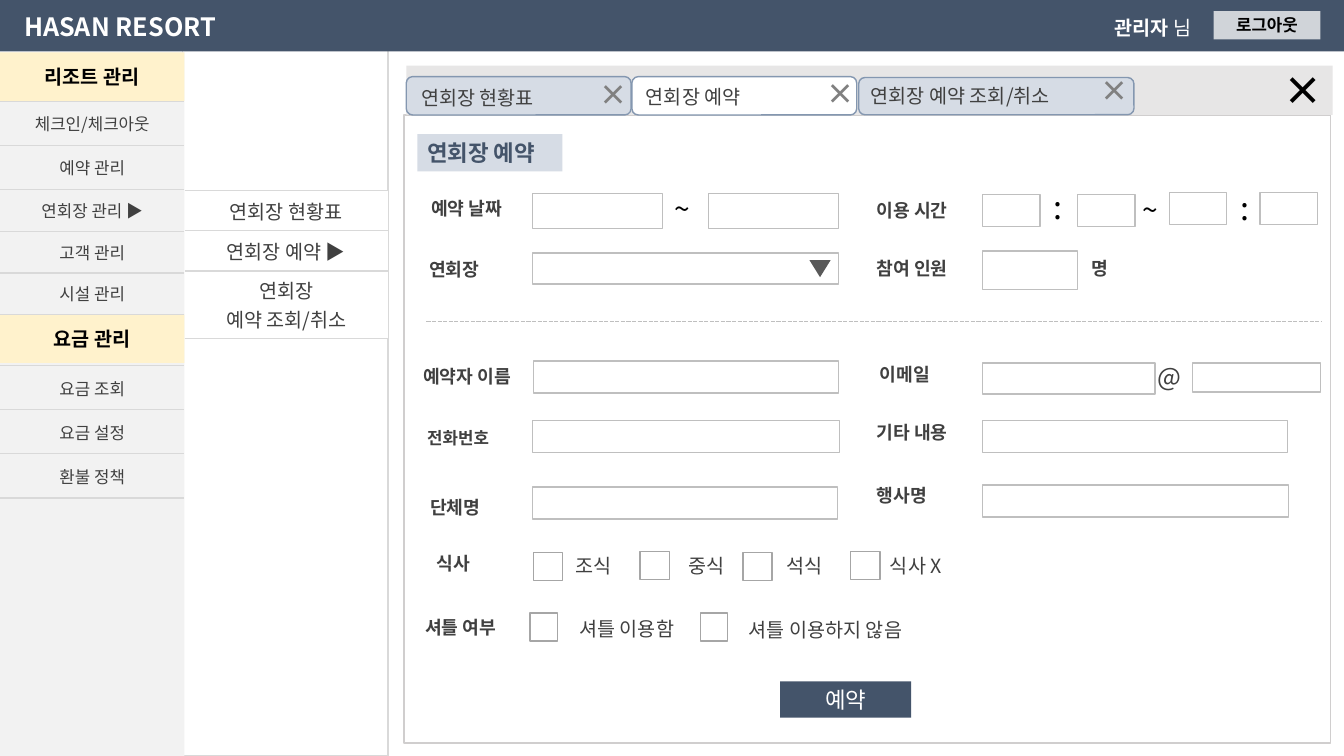
from dataclasses import dataclass

from lxml import etree
from pptx import Presentation
from pptx.dml.color import RGBColor
from pptx.enum import dml, shapes, text
from pptx.oxml import ns
from pptx.util import Pt

FONT = "Noto Sans CJK KR"
HUES = {
    "white": "FFFFFF", "black": "000000", "navy": "44546A", "pale": "D6DCE5",
    "blue": "8497B0", "cream": "FFF2CC", "side": "F2F2F2", "strip": "E7E6E6",
    "rule": "D9D9D9", "frame": "D0CECE", "field": "BFBFBF", "check": "A6A6A6",
    "ink": "404040", "mark": "595959", "close": "808080",
}
RECT = shapes.MSO_SHAPE.RECTANGLE
ROUND = shapes.MSO_SHAPE.ROUNDED_RECTANGLE
LEFT, MID = text.PP_ALIGN.LEFT, text.PP_ALIGN.CENTER


@dataclass
class Box:
    x: float
    y: float
    w: float
    h: float
    fill: str = "white"
    line: str = ""
    kind: int = RECT


@dataclass
class Note:
    words: str
    x: float
    y: float
    w: float
    h: float
    size: float = 13
    hue: str = "ink"
    bold: bool = True
    align: int = LEFT
    tail: str = ""


@dataclass
class Grid:
    x: float
    y: float
    w: float
    h: float
    rows: list
    words: list
    size: float
    fill: str


def rgb(name: str) -> RGBColor:
    return RGBColor.from_string(HUES[name])


def write(frame, words: str, *, size: float = 13, hue: str = "ink",
          bold: bool = False, align: int = LEFT, tail: str = "") -> None:
    for i, row in enumerate(words.split("\n")):
        para = frame.paragraphs[0] if i == 0 else frame.add_paragraph()
        para.alignment = align
        for part, heavy in ((row, bold), (tail, False)):
            if part:
                run = para.add_run()
                run.text = part
                font = run.font
                font.size, font.bold, font.name = Pt(size), heavy, FONT
                font.color.rgb = rgb(hue)
                etree.SubElement(run._r.get_or_add_rPr(), ns.qn("a:ea"), typeface=FONT)


def draw_box(slide, box: Box):
    shape = slide.shapes.add_shape(box.kind, Pt(box.x), Pt(box.y), Pt(box.w), Pt(box.h))
    shape.shadow.inherit = False
    shape.fill.solid()
    shape.fill.fore_color.rgb = rgb(box.fill)
    if box.line:
        shape.line.color.rgb = rgb(box.line)
        shape.line.width = Pt(1)
    else:
        shape.line.fill.background()
    return shape


def draw_key(slide, box: Box, words: str, **style):
    shape = draw_box(slide, box)
    shape.text_frame.vertical_anchor = text.MSO_ANCHOR.MIDDLE
    write(shape.text_frame, words, **style)
    return shape


def draw_note(slide, note: Note) -> None:
    frame = slide.shapes.add_textbox(Pt(note.x), Pt(note.y), Pt(note.w), Pt(note.h)).text_frame
    frame.word_wrap = True
    frame.auto_size = text.MSO_AUTO_SIZE.SHAPE_TO_FIT_TEXT
    frame.vertical_anchor = text.MSO_ANCHOR.MIDDLE
    write(frame, note.words, size=note.size, hue=note.hue, bold=note.bold,
          align=note.align, tail=note.tail)


def draw_grid(slide, grid: Grid) -> None:
    holder = slide.shapes.add_table(len(grid.rows), 1, Pt(grid.x), Pt(grid.y),
                                    Pt(grid.w), Pt(grid.h))
    table = holder.table
    for i, (high, words) in enumerate(zip(grid.rows, grid.words)):
        table.rows[i].height = Pt(high)
        cell = table.cell(i, 0)
        cell.vertical_anchor = text.MSO_ANCHOR.MIDDLE
        write(cell.text_frame, words, size=grid.size, align=MID)
        props = cell._tc.get_or_add_tcPr()
        for side in "LRTB":
            edge = etree.SubElement(props, ns.qn(f"a:ln{side}"), w=str(Pt(1)))
            if side in "LR":
                etree.SubElement(edge, ns.qn("a:noFill"))
            else:
                paint = etree.SubElement(edge, ns.qn("a:solidFill"))
                etree.SubElement(paint, ns.qn("a:srgbClr"), val=HUES["rule"])
        cell.fill.solid()
        cell.fill.fore_color.rgb = rgb(grid.fill)
    holder.height = Pt(grid.h)


def main() -> None:
    deck = Presentation()
    deck.slide_width, deck.slide_height = Pt(960), Pt(540)
    slide = deck.slides.add_slide(deck.slide_layouts[6])

    # Panels
    for box in (Box(288.7, 82.1, 661.7, 448.6, line="frame"),
                Box(290.2, 46.8, 661.7, 35.3, "strip"),
                Box(130.3, 36, 146.9, 504, line="rule"),
                Box(0, 37.4, 131.8, 502.6, "side"),
                Box(0, 0, 960, 36.7, "navy")):
        draw_box(slide, box)

    # Side menus
    for y, words in ((37.4, "리조트 관리"), (224.6, "요금 관리")):
        draw_key(slide, Box(0, y, 131.8, 34.6, "cream"), words,
                 size=14, hue="black", bold=True, align=MID)
    for grid in (
            Grid(0, 72.5, 131.8, 152, [31.5, 31.5, 30, 29.5, 29.5],
                 ["체크인/체크아웃", "예약 관리", "연회장 관리 ▶", "고객 관리", "시설 관리"], 12, "side"),
            Grid(0, 261.2, 131.8, 94.5, [31.5] * 3,
                 ["요금 조회", "요금 설정", "환불 정책"], 12, "side"),
            Grid(131.8, 136, 145.4, 98.6, [28.8] * 3,
                 ["연회장 현황표", "연회장 예약 ▶", "연회장\n예약 조회/취소"], 14, "white")):
        draw_grid(slide, grid)

    # Top bar
    draw_note(slide, Note("HASAN RESORT", 0, 4.3, 171.4, 28.8, 18, "white", align=MID))
    draw_note(slide, Note("관리자", 789.1, 7.2, 86.4, 24.5, 14, "white", tail=" 님"))
    exit_key = draw_key(slide, Box(866.9, 7.9, 76.3, 20.2), "로그아웃",
                        size=12, hue="black", bold=True, align=MID)
    tint = exit_key.fill._xPr.find(".//" + ns.qn("a:srgbClr"))
    etree.SubElement(tint, ns.qn("a:alpha"), val="75000")

    # Tabs
    for x, y, w, h, fill in ((451.4, 54.7, 160.6, 27.4, "white"),
                             (290.2, 54.7, 160.6, 27.4, "pale"),
                             (613.4, 55.4, 196.6, 26.6, "pale")):
        draw_box(slide, Box(x, y, w, h, fill, "blue", ROUND))
    for x, y in ((779, 49), (583.2, 51.1), (421.2, 51.8)):
        draw_note(slide, Note("×", x, y, 34.6, 31.7, 20, "close"))
    draw_note(slide, Note("×", 910.1, 43.9, 49.9, 41, 28, "black"))
    for words, x, y, w in (("연회장 현황표", 293.8, 57.6, 123.8),
                           ("연회장 예약", 454.3, 56.9, 102.2),
                           ("연회장 예약 조회/취소", 614.9, 56.2, 159.1)):
        draw_note(slide, Note(words, x, y, w, 24.5, 14, bold=False))

    # Form title
    draw_key(slide, Box(298.1, 95.8, 103.7, 26.6, "pale"), "연회장 예약",
             size=16, hue="navy", bold=True)

    # Fields
    for x, y, w, h in (
            (380.2, 138.2, 92.9, 25.2), (506.2, 138.2, 92.9, 25.2),
            (702, 139, 41, 23), (769.7, 139, 41, 23),
            (835.2, 137.5, 41, 23), (900, 137.5, 41, 23),
            (380.2, 180.7, 218.9, 22.3), (702, 179.3, 67.7, 27.4),
            (380.9, 257.8, 218.2, 23), (702, 259.2, 123.1, 22.3),
            (851.8, 259.2, 91.4, 20.9), (380.2, 300.2, 219.6, 23),
            (701.6, 300.2, 218.2, 23), (380.2, 347.8, 218.2, 23),
            (702, 346.3, 218.2, 23)):
        draw_box(slide, Box(x, y, w, h, line="field"))
    arrow = draw_box(slide, Box(578.2, 185.8, 15.1, 12.2, "mark",
                                kind=shapes.MSO_SHAPE.ISOSCELES_TRIANGLE))
    arrow.rotation = 180

    # Labels
    for words, x, y in (
            ("예약 날짜", 301, 137.5), ("이용 시간", 619.2, 139),
            ("연회장", 299.5, 180.7), ("참여 인원", 619.2, 180),
            ("예약자 이름", 295.2, 257), ("이메일", 621.4, 255.6),
            ("기타 내용", 619.2, 297.4), ("단체명", 300.2, 350.6),
            ("행사명", 619.2, 342), ("식사", 304.6, 391), ("셔틀 여부", 296.6, 436.3)):
        draw_note(slide, Note(words, x, y, 86, 23))
    for note in (Note("전화번호", 298.1, 301.7, 86, 21.6, 12),
                 Note("명", 772.6, 180, 22.3, 23),
                 Note("@", 819.4, 254.2, 46.8, 28.8, 18, bold=False),
                 Note("~", 474.5, 133.2, 32.4, 31.7, 20, "black", False),
                 Note("~", 809.3, 133.9, 32.4, 31.7, 20, "black", False),
                 Note(":", 745.2, 129.6, 32.4, 35.3, 23, "black", False),
                 Note(":", 879.1, 131, 32.4, 35.3, 23, "black", False)):
        draw_note(slide, note)

    # Divider
    rule = slide.shapes.add_connector(shapes.MSO_CONNECTOR.STRAIGHT,
                                      Pt(304.6), Pt(229.7), Pt(943.9), Pt(229.7))
    rule.line.color.rgb = rgb("field")
    rule.line.width = Pt(1)
    rule.line.dash_style = dml.MSO_LINE.SQUARE_DOT
    etree.SubElement(rule._element.spPr, ns.qn("a:effectLst"))

    # Check boxes
    for x, y, w, words, left, top, wide in (
            (380.9, 394.6, 20.9, "조식", 403.9, 391.7, 48.2),
            (457.2, 393.8, 20.9, "중식", 484.6, 391.7, 43.2),
            (530.6, 394.6, 20.9, "석식", 554.4, 391.7, 47.5),
            (607.7, 393.8, 20.9, "식사 X", 628.6, 391.7, 66.2),
            (378.7, 437.8, 19.4, "셔틀 이용함", 406.8, 437, 124.6),
            (500.4, 437.8, 19.4, "셔틀 이용하지 않음", 527.8, 437.8, 167.8)):
        draw_box(slide, Box(x, y, w, 20.2, line="check"))
        draw_note(slide, Note(words, left, top, wide, 24.5, 14, bold=False))

    # Book button
    draw_key(slide, Box(557.3, 486.7, 93.6, 25.9, "navy"), "예약",
             size=16, hue="white", align=MID)

    deck.save("out.pptx")


if __name__ == "__main__":
    main()
